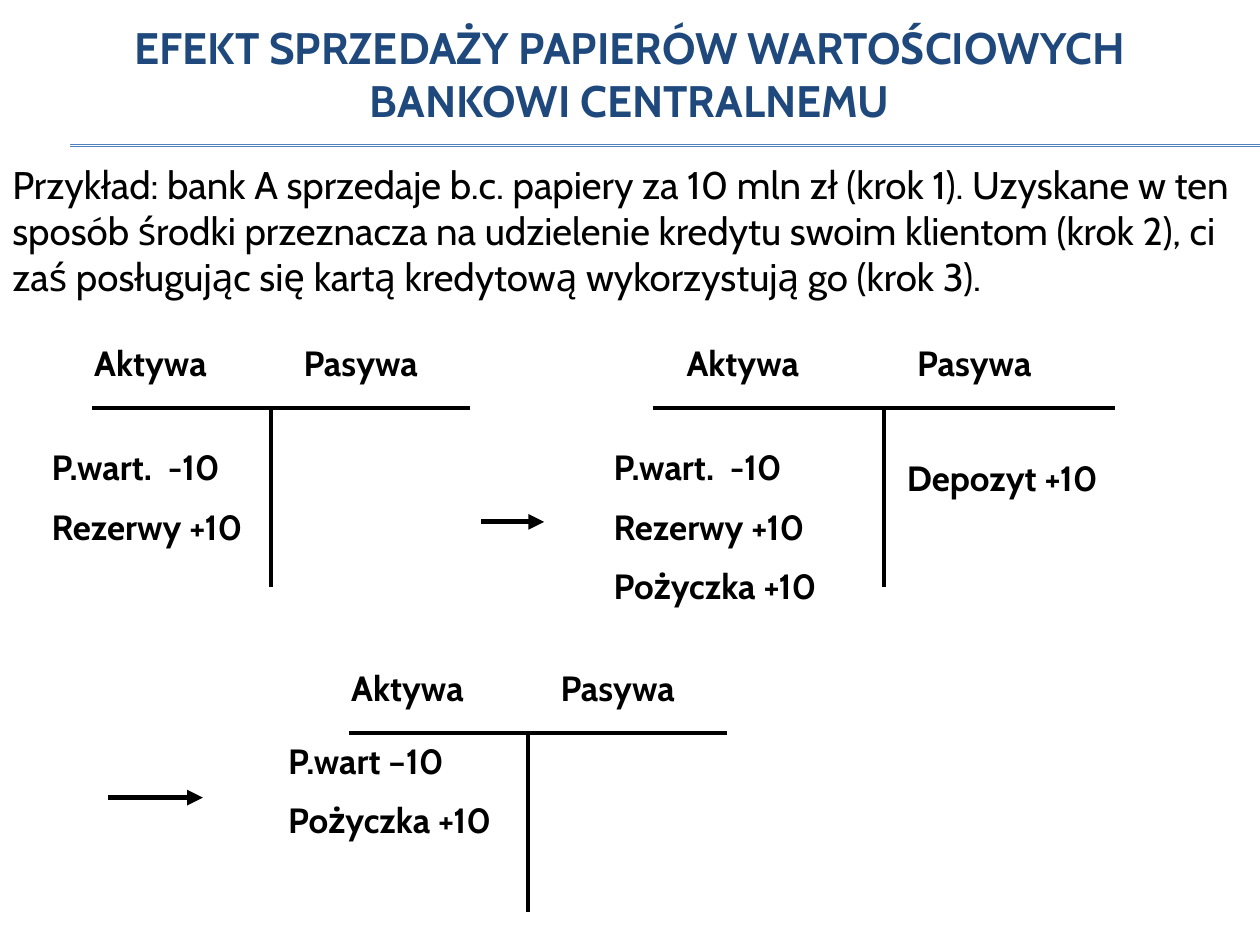
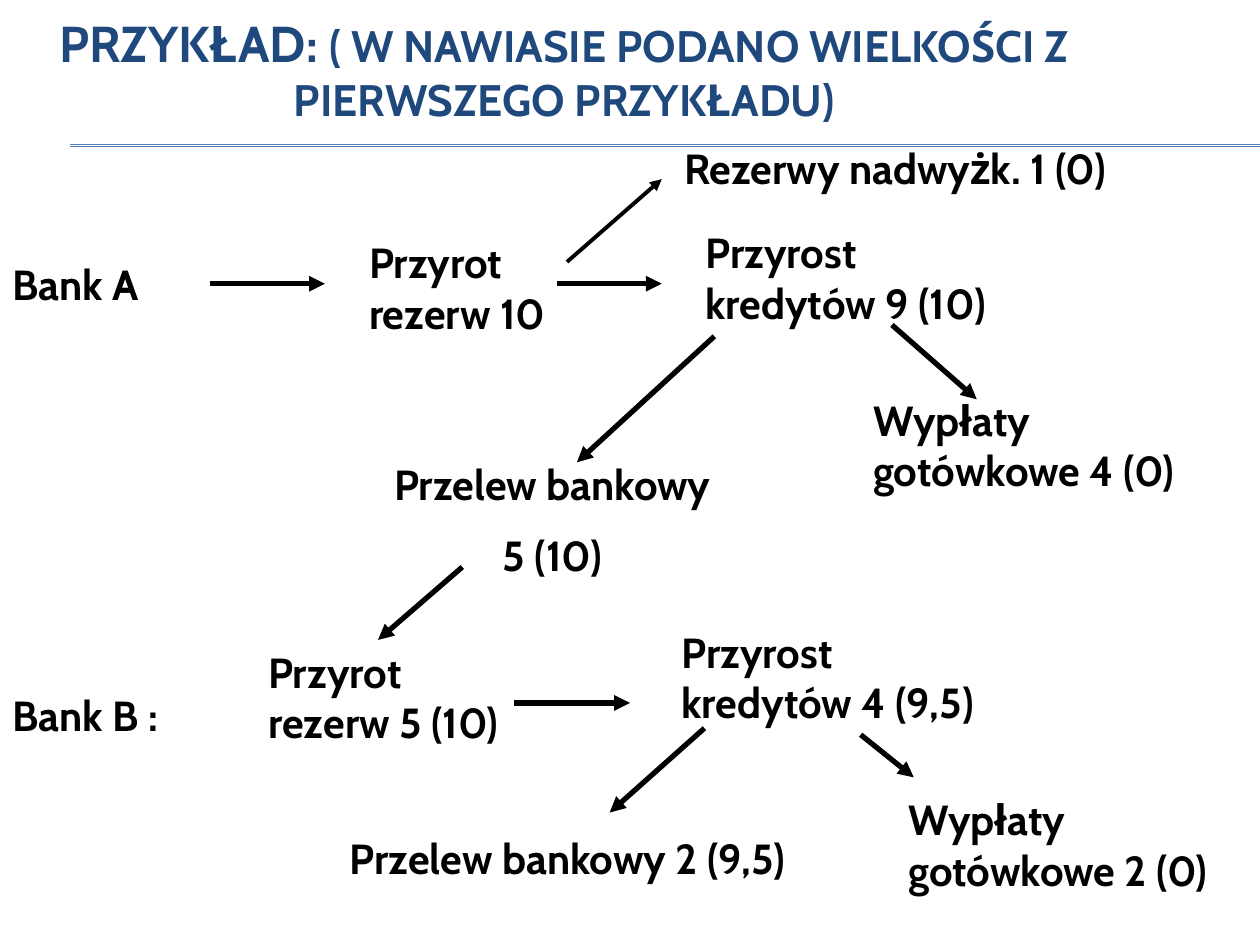
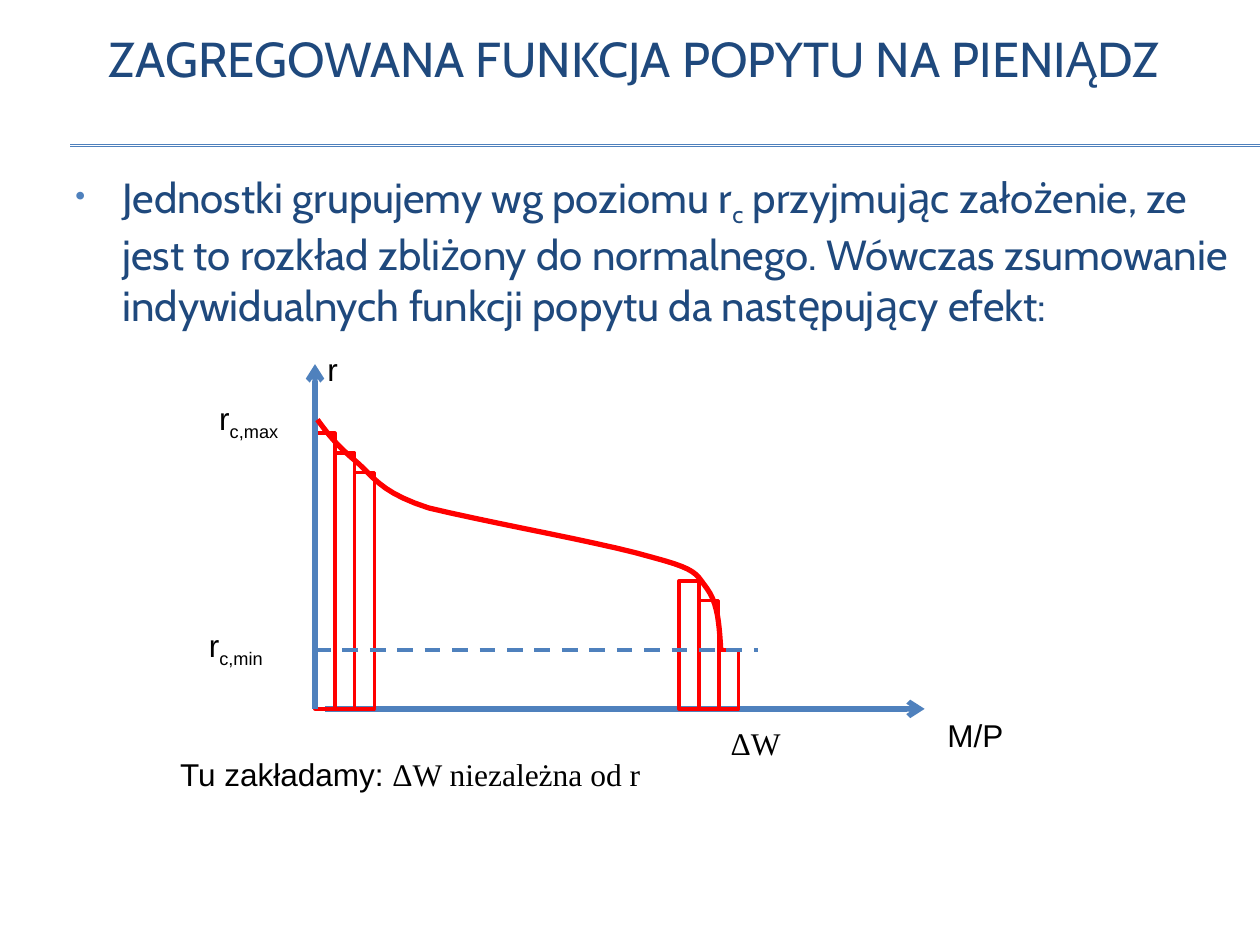
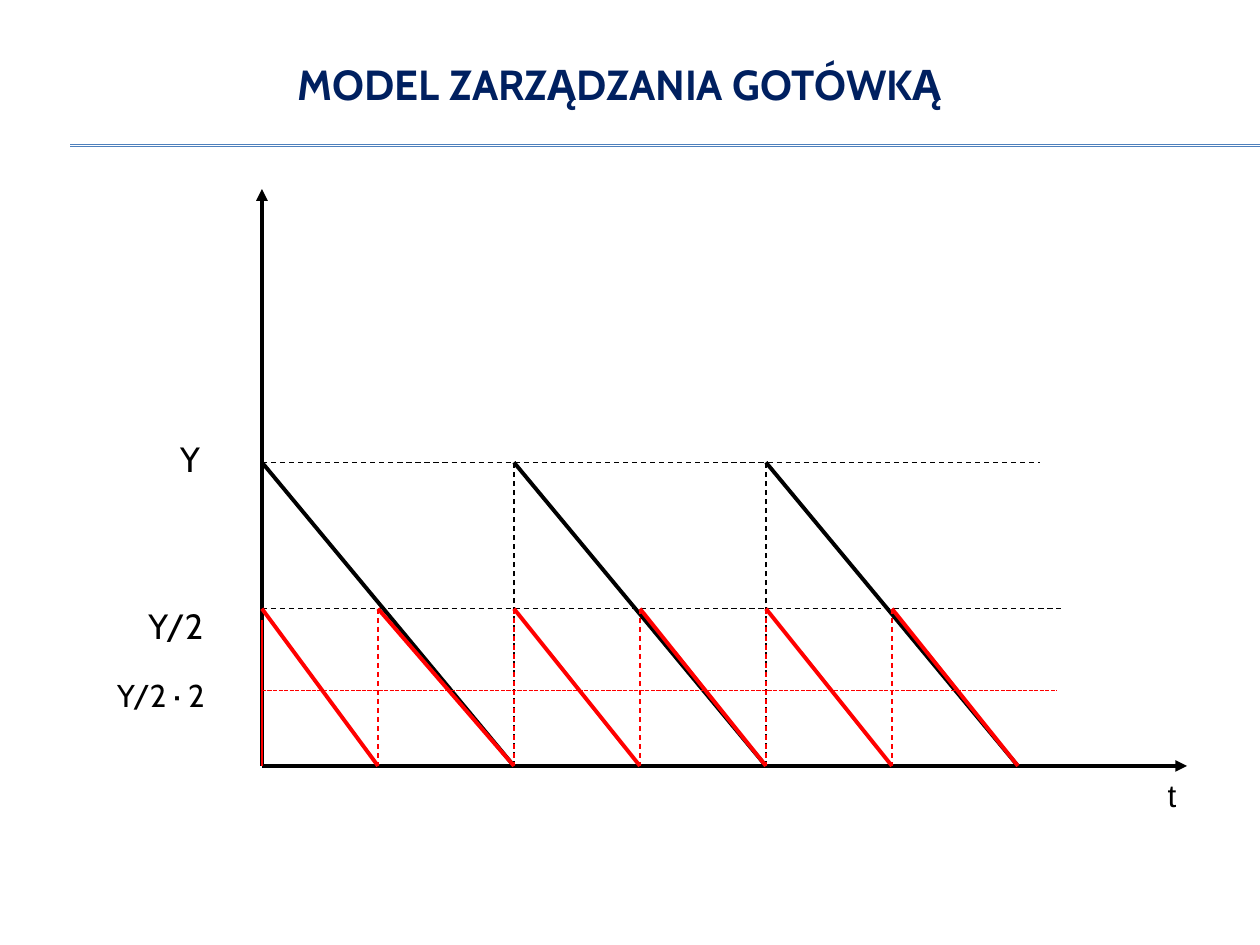
from lxml import etree
from pptx import Presentation
from pptx.dml.color import RGBColor
from pptx.enum.dml import MSO_LINE
from pptx.enum.shapes import MSO_CONNECTOR, MSO_SHAPE
from pptx.enum.text import MSO_ANCHOR, MSO_AUTO_SIZE, PP_ALIGN
from pptx.oxml.ns import qn
from pptx.util import Cm, Pt

BLACK = RGBColor(0x00, 0x00, 0x00)
RED = RGBColor(0xFF, 0x00, 0x00)
BLUE = RGBColor(0x4F, 0x81, 0xBD)
NAVY = RGBColor(0x1F, 0x49, 0x7D)
DARK = RGBColor(0x00, 0x20, 0x60)

CABIN, ARIAL, TIMES = "Cabin", "Arial", "Times New Roman"
LEFT, CENTER = PP_ALIGN.LEFT, PP_ALIGN.CENTER
TOP, MIDDLE = MSO_ANCHOR.TOP, MSO_ANCHOR.MIDDLE
GROW, FIXED = MSO_AUTO_SIZE.SHAPE_TO_FIT_TEXT, MSO_AUTO_SIZE.NONE
STRAIGHT, RECT = MSO_CONNECTOR.STRAIGHT, MSO_SHAPE.RECTANGLE
DASH, FINE = MSO_LINE.DASH, MSO_LINE.SQUARE_DOT


def bezier(start, curves, steps=10):
    """Points along a chain of cubic curves."""
    points = [start]
    for a, b, end in curves:
        for i in range(1, steps + 1):
            t = i / steps
            u = 1 - t
            points.append(tuple(
                u**3 * p + 3 * u * u * t * q + 3 * u * t * t * r + t**3 * s
                for p, q, r, s in zip(start, a, b, end)))
        start = end
    return points


class Deck:
    def __init__(self):
        self.prs = Presentation()
        self.prs.slide_width, self.prs.slide_height = Cm(25.4), Cm(19.05)
        self.shapes = None

    def slide(self, title, box, size, color=NAVY, bold=True):
        """Start a slide with the double rule and its title."""
        layout = self.prs.slide_layouts[6]
        self.shapes = self.prs.slides.add_slide(layout).shapes
        for y in (2.92, 2.95):
            self.line(1.42, y, 25.4, y, 0.75, BLUE)
        self.text(box, [title], size, color, bold, align=CENTER,
                  anchor=MIDDLE, fit=FIXED)

    def text(self, box, paras, size, color=BLACK, bold=False, font=CABIN,
             align=LEFT, anchor=TOP, fit=GROW, bullet=False):
        """Text box; a paragraph is a string or a list of (text, style)."""
        frame = self.shapes.add_textbox(*map(Cm, box)).text_frame
        frame.word_wrap = True
        frame.auto_size = fit
        frame.vertical_anchor = anchor
        for i, runs in enumerate(paras):
            para = frame.add_paragraph() if i else frame.paragraphs[0]
            para.alignment = align
            if i:
                para.space_before = Pt(size / 2)
            if bullet:
                self.bullet(para)
            para.font.size = Pt(size)
            para.font.name = font
            para.font.bold = bold
            para.font.color.rgb = color
            for words, style in [(runs, {})] if isinstance(runs, str) else runs:
                run = para.add_run()
                run.text = words
                if "size" in style:
                    run.font.size = Pt(style["size"])
                if "font" in style:
                    run.font.name = style["font"]
                if style.get("sub"):
                    run.font._element.set("baseline", "-25000")

    def bullet(self, para):
        props = para._p.get_or_add_pPr()
        props.set("marL", str(Cm(0.95)))
        props.set("indent", str(-Cm(0.95)))
        tint = etree.SubElement(props, qn("a:buClr"))
        etree.SubElement(tint, qn("a:srgbClr"), val=str(BLUE))
        etree.SubElement(props, qn("a:buSzPct"), val="70000")
        etree.SubElement(props, qn("a:buChar"), char="•")

    def line(self, x1, y1, x2, y2, width=2.25, color=BLACK, dash=None, head=None):
        link = self.shapes.add_connector(STRAIGHT, *map(Cm, (x1, y1, x2, y2)))
        link.line.width = Pt(width)
        link.line.color.rgb = color
        if dash:
            link.line.dash_style = dash
        if head:
            etree.SubElement(link.line._get_or_add_ln(), qn("a:tailEnd"), type=head)
        etree.SubElement(link._element.spPr, qn("a:effectLst"))

    def arrow(self, x1, y1, x2, y2, width=3.0, color=BLACK, head="triangle"):
        self.line(x1, y1, x2, y2, width, color, head=head)

    def outline(self, shape, width):
        shape.shadow.inherit = False
        shape.fill.background()
        shape.line.color.rgb = RED
        shape.line.width = Pt(width)

    def bar(self, x, top, width, base):
        box = map(Cm, (x, top, width, base - top))
        self.outline(self.shapes.add_shape(RECT, *box), 2)

    def curve(self, points):
        points = [(Cm(x), Cm(y)) for x, y in points]
        path = self.shapes.build_freeform(*points[0])
        path.add_line_segments(points[1:], close=False)
        self.outline(path.convert_to_shape(), 3)

    def account(self, x1, x2, y, stem, label):
        """T-account with its two headings."""
        self.line(x1, y, x2, y)
        self.line(stem, y, stem, y + 3.6)
        for x, width, name in ((label, 3.38, "Aktywa"), (stem + 0.41, 3.61, "Pasywa")):
            self.text((x, y - 1.47, width, 1.09), [name], 20, bold=True)


def sale(deck):
    deck.slide("EFEKT SPRZEDAŻY PAPIERÓW WARTOŚCIOWYCH BANKOWI CENTRALNEMU",
               (1.9, 0, 21.59, 2.97), 25.2)
    deck.text((0, 3.12, 25.4, 3.07), [
        "Przykład: bank A sprzedaje b.c. papiery za 10 mln zł (krok 1). "
        "Uzyskane w ten sposób środki przeznacza na udzielenie kredytu swoim "
        "klientom (krok 2), ci zaś posługując się kartą kredytową "
        "wykorzystują go (krok 3)."], 22)
    # Accounts
    deck.account(1.85, 9.47, 8.23, 5.46, 1.65)
    deck.account(13.16, 22.48, 8.23, 17.83, 13.59)
    deck.account(7.04, 14.66, 14.78, 10.64, 6.83)
    # Entries
    first = ["P.wart.  -10", "Rezerwy +10"]
    for box, rows in (
            ((0.79, 8.86, 4.65, 2.36), first),
            ((12.12, 8.86, 5.28, 3.63), first + ["Pożyczka +10"]),
            ((18.03, 9.07, 5.08, 1.09), ["Depozyt +10"]),
            ((5.56, 14.78, 4.88, 2.36), ["P.wart –10", "Pożyczka +10"])):
        deck.text(box, rows, 20, bold=True)
    # Steps
    deck.arrow(9.7, 10.52, 10.97, 10.52)
    deck.arrow(2.18, 16.08, 4.09, 16.08)


def flow(deck):
    deck.slide([("PRZYKŁAD: ", {}),
                ("( W NAWIASIE PODANO WIELKOŚCI Z PIERWSZEGO PRZYKŁADU)", {"size": 25.2})],
               (0.58, 0, 21.59, 2.77), 28.8)
    # Nodes
    for x, y, width, height, align, *rows in (
            (0, 5.08, 4.24, 1.27, LEFT, "Bank A"),
            (7.19, 4.65, 4.45, 2.29, LEFT, "Przyrot rezerw 10"),
            (13.97, 4.45, 6.35, 2.29, LEFT, "Przyrost kredytów 9 (10)"),
            (17.35, 7.82, 6.78, 2.29, LEFT, "Wypłaty gotówkowe 4 (0)"),
            (13.54, 2.74, 9.53, 1.27, LEFT, "Rezerwy nadwyżk. 1 (0)"),
            (7.54, 9.12, 7.19, 2.79, CENTER, "Przelew bankowy", "5 (10)"),
            (0, 13.77, 4.24, 1.27, LEFT, "Bank B :"),
            (5.16, 12.9, 5.28, 2.29, LEFT, "Przyrot rezerw 5 (10)"),
            (13.49, 12.5, 6.99, 2.29, LEFT, "Przyrost kredytów 4 (9,5)"),
            (18.06, 15.88, 6.78, 2.29, LEFT, "Wypłaty gotówkowe 2 (0)"),
            (6.15, 16.66, 10.59, 1.27, CENTER, "Przelew bankowy 2 (9,5)")):
        deck.text((x, y, width, height), rows, 24, bold=True, align=align)
    # Arrows
    for ends in (
            (4.24, 5.72, 6.55, 5.72), (11.23, 5.72, 13.34, 5.72),
            (17.98, 6.55, 19.69, 8.05), (14.4, 6.78, 11.63, 9.32),
            (9.32, 11.43, 7.62, 12.9), (10.36, 14.17, 12.7, 14.17),
            (17.35, 14.81, 18.42, 15.67), (14.2, 14.68, 12.29, 16.38)):
        deck.arrow(*ends)
    deck.arrow(11.43, 5.28, 13.34, 3.61, 2.25)


def demand(deck):
    deck.slide("ZAGREGOWANA FUNKCJA POPYTU NA PIENIĄDZ",
               (0.71, 0, 24.13, 2.34), 28, bold=False)
    sub = {"sub": True}
    deck.text((1.27, 3.33, 24.13, 3.99), [[
        ("Jednostki grupujemy wg poziomu r", {}), ("c", sub),
        (" przyjmując założenie, ze jest to rozkład zbliżony do normalnego. "
         "Wówczas zsumowanie indywidualnych funkcji popytu da następujący efekt:", {})]],
        24, NAVY, fit=FIXED, bullet=True)
    # Axes and bars
    zero, base, step = 6.35, 14.29, 0.4
    deck.arrow(6.55, base, 18.64, base, color=BLUE, head="arrow")
    for start, tops in ((zero, (8.73, 9.13, 9.53)), (13.69, (11.71, 12.11, 13.1))):
        for i, top in enumerate(tops):
            deck.bar(start + i * step, top, step, base)
    deck.arrow(zero, base, zero, 7.34, color=BLUE, head="arrow")
    # Demand curve
    deck.curve(bezier((6.4, 8.46), [
        ((6.58, 8.71), (6.78, 8.97), (7.14, 9.27)),
        ((7.52, 9.58), (7.62, 9.91), (8.64, 10.24)),
        ((10.01, 10.57), (12.19, 10.95), (13.13, 11.23)),
        ((14.07, 11.48), (14.02, 11.56), (14.25, 11.86)),
        ((14.48, 12.17), (14.5, 12.62), (14.53, 13.08))]))
    deck.line(zero, 13.1, 15.29, 13.1, color=BLUE, dash=DASH)
    # Labels
    for x, y, width, words, font in (
            (18.85, 14.3, 2.18, "M/P", ARIAL),
            (6.35, 6.93, 0.99, "r", ARIAL),
            (4.17, 7.92, 1.98, [("r", {}), ("c,max", sub)], ARIAL),
            (3.96, 12.5, 2.18, [("r", {}), ("c,min", sub)], ARIAL),
            (14.48, 14.48, 1.78, "ΔW", TIMES),
            (3.38, 15.09, 17.07, [("Tu zakładamy: ", {}),
                                  ("ΔW niezależna od r", {"font": TIMES})], ARIAL)):
        deck.text((x, y, width, 1.02), [words], 18, font=font)


def cash(deck):
    deck.slide("MODEL ZARZĄDZANIA GOTÓWKĄ", (1.7, 0.64, 21.59, 2.08), 24, DARK)
    zero, base, full, half = 5.28, 15.44, 9.32, 12.27
    # Axes
    deck.arrow(zero, base, zero, 3.81, 2.25)
    deck.arrow(zero, base, 23.93, base, 2.25)
    # One payment a period
    period = 5.08
    for i in range(3):
        x = zero + i * period
        deck.line(x, full, x + period, base)
        if i:
            deck.line(x, base, x, full, 0.75, dash=DASH)
    deck.line(zero, full, 20.96, full, 0.75, dash=DASH)
    deck.line(zero, half, 21.39, half, 0.75, dash=DASH)
    # Two payments a period
    deck.line(zero, 12.5, zero, base, 0.75, RED)
    marks = [zero, 7.62] + [zero + i * period / 2 for i in range(2, 7)]
    for x, end in zip(marks, marks[1:]):
        if x > zero:
            deck.line(x, half, x, base, 0.75, RED, DASH)
        deck.line(x, half, end, base, color=RED)
    deck.line(zero, 13.92, 21.31, 13.92, 0.79, RED, FINE)
    # Labels
    for x, y, width, words, size, font in (
            (3.38, 8.69, 1.27, "Y", 20, CABIN),
            (2.74, 12.07, 2.34, "Y/2", 20, CABIN),
            (2.11, 13.51, 3.2, "Y/2 · 2", 18, CABIN),
            (23.29, 15.52, 0.99, "t", 18, ARIAL)):
        deck.text((x, y, width, 1.05), [words], size, font=font)


def main():
    deck = Deck()
    for build in (sale, flow, demand, cash):
        build(deck)
    deck.prs.save("out.pptx")


if __name__ == "__main__":
    main()
